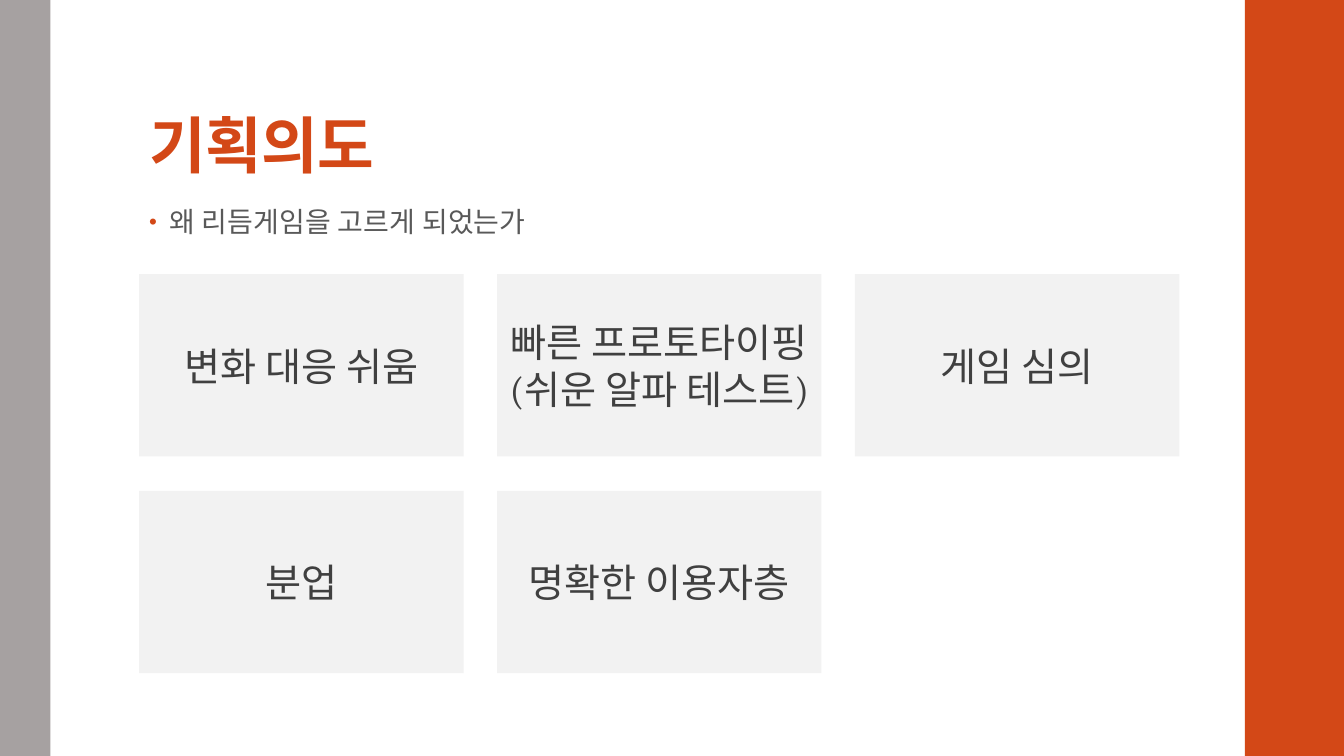
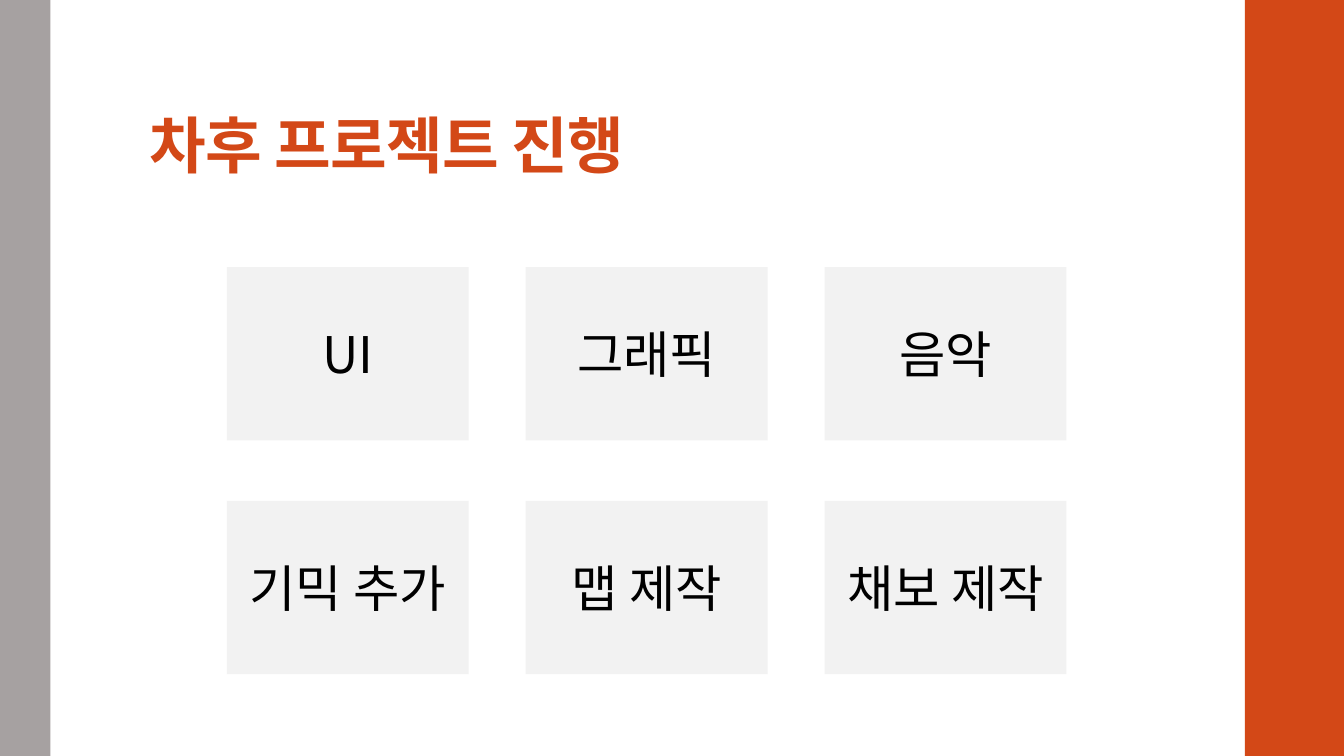
from dataclasses import dataclass
from lxml.etree import SubElement as Sub
from pptx import Presentation
from pptx.dml.color import RGBColor as RGB
from pptx.enum.shapes import MSO_SHAPE as Form
from pptx.enum.text import MSO_ANCHOR as Anchor, MSO_AUTO_SIZE as Fit, PP_ALIGN as Align
from pptx.oxml.ns import qn
from pptx.util import Pt

SLIDES = [
    {
        "title": "기획의도",
        "lead": "왜 리듬게임을 고르게 되었는가",
        "cells": ["변화 대응 쉬움", "빠른 프로토타이핑\n(쉬운 알파 테스트)", "게임 심의",
                  "분업", "명확한 이용자층"],
        "grid": {"left": 99.4, "top": 195.8, "wide": 231.8, "high": 130.3,
                 "gap": (23.8, 24.5)},
        "style": "card",
    },
    {
        "title": "차후 프로젝트 진행",
        "cells": ["UI", "그래픽", "음악", "기믹 추가", "맵 제작", "채보 제작"],
        "grid": {"left": 162, "top": 190.8, "wide": 172.8, "high": 123.8,
                 "gap": (40.7, 43.2)},
        "style": "task",
    },
]
COLS = 3
WIDE, HIGH = 960, 540
TITLE = (99.4, 23, 763.2, 110.2)
LEAD = (99.4, 144, 676.8, 36)


@dataclass(frozen=True)
class Theme:
    accent: str = "D34817"
    side: str = "A6A1A1"
    panel: str = "F2F2F2"
    asian: str = "Noto Sans CJK KR"
    title = {"name": "Cambria", "size": Pt(44), "bold": True, "color": "D34817"}
    lead = {"name": "Cambria", "size": Pt(20), "color": "595959"}
    card = {"name": "Cambria", "size": Pt(28), "color": "404040"}
    task = {"name": "Noto Sans CJK KR", "size": Pt(36), "color": "000000"}


THEME = Theme()
BANDS = [((889.2, 0, WIDE - 889.2, HIGH), THEME.accent),
         ((0, 0, 36, HIGH), THEME.side)]


def apply(item, **values):
    for key, value in values.items():
        setattr(item, key, value)


def place(shape, box):
    apply(shape, **dict(zip(("left", "top", "width", "height"), map(Pt, box))))


def write(shape, text, style, track=0, frame=None, para=None):
    body = shape.text_frame
    apply(body, word_wrap=True, auto_size=Fit.NONE, **(frame or {}))
    body.text = text
    for line in body.paragraphs:
        apply(line, **(para or {}))
        for run in line.runs:
            apply(run.font, **{k: v for k, v in style.items() if k != "color"})
            run.font.color.rgb = RGB.from_string(style["color"])
            props = run.font._element
            Sub(props, qn("a:ea"), typeface=THEME.asian)
            if track:
                props.set("spc", str(track))


def panel(slide, box, color):
    shape = slide.shapes.add_shape(Form.RECTANGLE, *map(Pt, box))
    shape.shadow.inherit = False
    shape.fill.solid()
    shape.fill.fore_color.rgb = RGB.from_string(color)
    shape.line.fill.background()
    return shape


def bands(slide):
    for box, color in BANDS:
        shape = panel(slide, box, color)
        slide.slide_layout.shapes.element.insert(2, shape.element)


def head(slide, text):
    shape = slide.shapes.title
    place(shape, TITLE)
    write(shape, text, THEME.title, -50,
          {"vertical_anchor": Anchor.BOTTOM, "margin_left": Pt(7.2),
           "margin_right": Pt(7.2), "margin_top": Pt(2.2), "margin_bottom": Pt(3.6)},
          {"alignment": Align.LEFT, "line_spacing": 0.9})


def lead(slide, text):
    shape = slide.shapes.add_textbox(*map(Pt, LEAD))
    write(shape, text, THEME.lead, 10,
          para={"line_spacing": 0.95, "space_after": Pt(2)})
    props = shape.text_frame.paragraphs[0]._p.get_or_add_pPr()
    props.set("marL", str(Pt(14.4)))
    props.set("indent", str(-Pt(14.4)))
    Sub(Sub(props, qn("a:buClr")), qn("a:srgbClr"), val=THEME.accent)
    Sub(props, qn("a:buSzPct"), val="80000")
    Sub(props, qn("a:buFont"), typeface="Arial")
    Sub(props, qn("a:buChar"), char="•")


def cells(slide, texts, grid, style):
    wide, high = grid["wide"], grid["high"]
    for i, text in enumerate(texts):
        row, col = divmod(i, COLS)
        left = grid["left"] + col * (wide + grid["gap"][0])
        top = grid["top"] + row * (high + grid["gap"][1])
        shape = panel(slide, (left, top, wide, high), THEME.panel)
        write(shape, text, getattr(THEME, style),
              frame={"vertical_anchor": Anchor.MIDDLE},
              para={"alignment": Align.CENTER})


def main():
    deck = Presentation()
    apply(deck, slide_width=Pt(WIDE), slide_height=Pt(HIGH))
    for i, data in enumerate(SLIDES):
        slide = deck.slides.add_slide(deck.slide_layouts[5])
        if i == 0:
            bands(slide)
        head(slide, data["title"])
        if "lead" in data:
            lead(slide, data["lead"])
        cells(slide, data["cells"], data["grid"], data["style"])
    deck.save("out.pptx")


if __name__ == "__main__":
    main()
